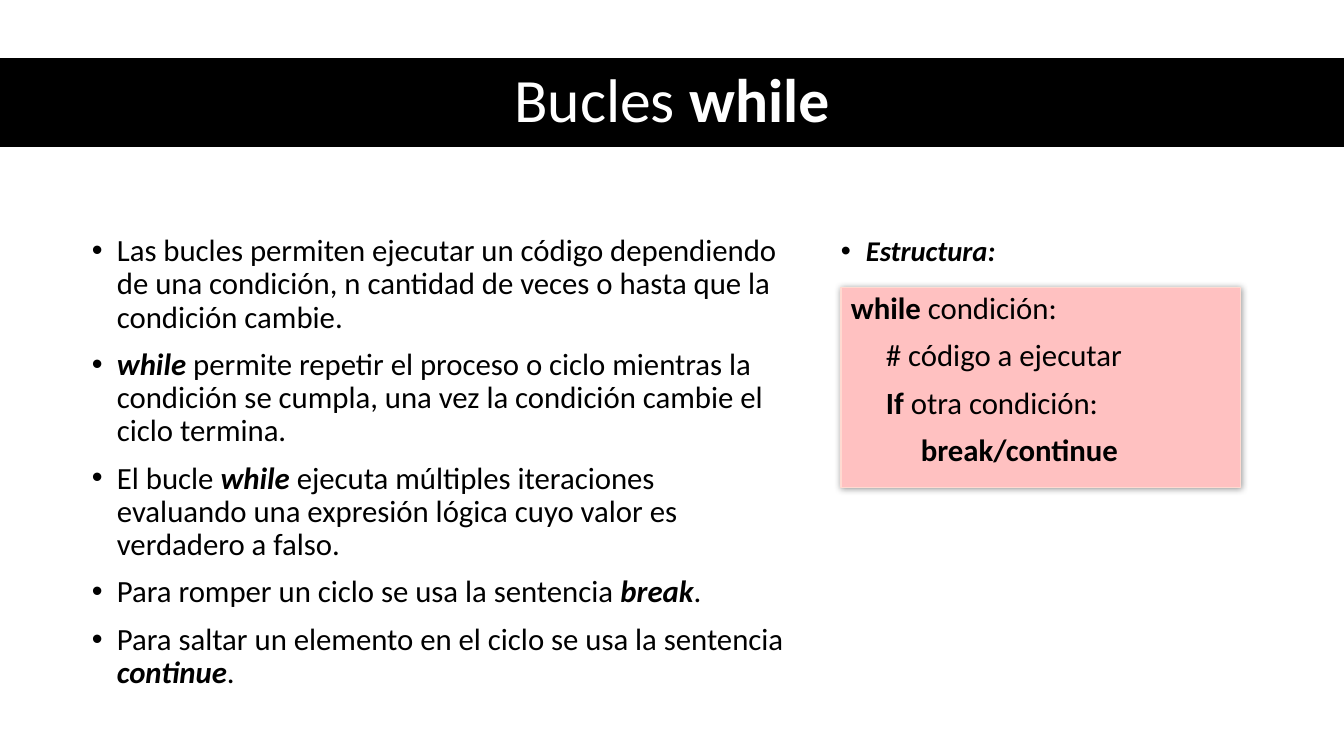
"""Builds a slide on while loops, with bullet points and a code structure box."""
from lxml import etree
from pptx import Presentation
from pptx.dml.color import RGBColor
from pptx.enum.shapes import MSO_SHAPE
from pptx.enum.text import MSO_ANCHOR, MSO_AUTO_SIZE, PP_ALIGN
from pptx.oxml import parse_xml
from pptx.oxml.ns import qn
from pptx.util import Pt

PX = 914400 / 100.8
BLACK = RGBColor(0x00, 0x00, 0x00)
WHITE = RGBColor(0xFF, 0xFF, 0xFF)
PINK = RGBColor(0xFF, 0xC1, 0xC1)
PEACH = RGBColor(0xFF, 0xDA, 0xD1)
FONT = "Calibri"
PLAIN, BOLD, BOLD_ITALIC = (False, False), (True, False), (True, True)
BULLET_INDENT = 25
CODE_INDENT = 35


def box(*lengths):
    return [round(n * PX) for n in lengths]


def write(tf, paragraphs, size, color=BLACK, align=PP_ALIGN.LEFT, before=10, spacing=0.9, bullet=False):
    tf.word_wrap = True
    tf.auto_size = MSO_AUTO_SIZE.NONE
    for i, (level, runs) in enumerate(paragraphs):
        p = tf.paragraphs[0] if i == 0 else tf.add_paragraph()
        p.alignment, p.line_spacing, p.space_before = align, spacing, Pt(before)
        pPr = p._p.get_or_add_pPr()
        if bullet:
            indent = round(BULLET_INDENT * PX)
            pPr.set("marL", str(indent))
            pPr.set("indent", str(-indent))
            etree.SubElement(pPr, qn("a:buFont")).set("typeface", "Arial")
            etree.SubElement(pPr, qn("a:buChar")).set("char", "•")
        elif level:
            pPr.set("marL", str(round(level * CODE_INDENT * PX)))
        for text, (bold, italic) in runs:
            r = p.add_run()
            r.text = text
            r.font.name, r.font.size = FONT, Pt(size)
            r.font.bold, r.font.italic = bold, italic
            r.font.color.rgb = color


prs = Presentation()
prs.slide_width, prs.slide_height = box(1344, 756)
s = prs.slides.add_slide(prs.slide_layouts[5])

title = s.shapes.title
title.left, title.top, title.width, title.height = box(0, 58, 1344, 89)
title.fill.solid()
title.fill.fore_color.rgb = BLACK
title.text_frame.vertical_anchor = MSO_ANCHOR.MIDDLE
write(title.text_frame, [(0, [("Bucles ", PLAIN), ("while", BOLD)])], 44, WHITE, PP_ALIGN.CENTER, before=0)

points = [
    (0, [("Las bucles permiten ejecutar un código dependiendo de una condición, "
          "n cantidad de veces o hasta que la condición cambie.", PLAIN)]),
    (0, [("while", BOLD_ITALIC),
         (" permite repetir el proceso o ciclo mientras la condición se cumpla, "
          "una vez la condición cambie el ciclo termina.", PLAIN)]),
    (0, [("El bucle ", PLAIN), ("while", BOLD_ITALIC),
         (" ejecuta múltiples iteraciones evaluando una expresión lógica "
          "cuyo valor es verdadero a falso.", PLAIN)]),
    (0, [("Para romper un ciclo se usa la sentencia ", PLAIN), ("break", BOLD_ITALIC), (".", PLAIN)]),
    (0, [("Para saltar un elemento en el ciclo se usa la sentencia ", PLAIN),
         ("continue", BOLD_ITALIC), (".", PLAIN)]),
]
body = s.shapes.add_textbox(*box(82, 230, 715, 480))
write(body.text_frame, points, 22, bullet=True)

code_lines = [
    (0, [("while ", BOLD), ("condición:", PLAIN)]),
    (1, [("# código a ejecutar", PLAIN)]),
    (1, [("If ", BOLD), ("otra condición:", PLAIN)]),
    (2, [("break/continue", BOLD)]),
]
code = s.shapes.add_shape(MSO_SHAPE.RECTANGLE, *box(841, 288, 400, 200))
code.fill.solid()
code.fill.fore_color.rgb = PINK
code.line.color.rgb = PEACH
code.line.width = Pt(0.75)
code._element.spPr.append(parse_xml(
    '<a:effectLst xmlns:a="http://schemas.openxmlformats.org/drawingml/2006/main">'
    f'<a:outerShdw blurRad="{Pt(5)}" dist="0" dir="0" algn="ctr" rotWithShape="0">'
    '<a:srgbClr val="000000"><a:alpha val="40000"/></a:srgbClr></a:outerShdw></a:effectLst>'))
code.text_frame.vertical_anchor = MSO_ANCHOR.TOP
write(code.text_frame, code_lines, 22)

heading = s.shapes.add_textbox(*box(831, 235, 201, 37))
write(heading.text_frame, [(0, [("Estructura:", BOLD_ITALIC)])], 20.4, spacing=0.8, bullet=True)

prs.save("out.pptx")
